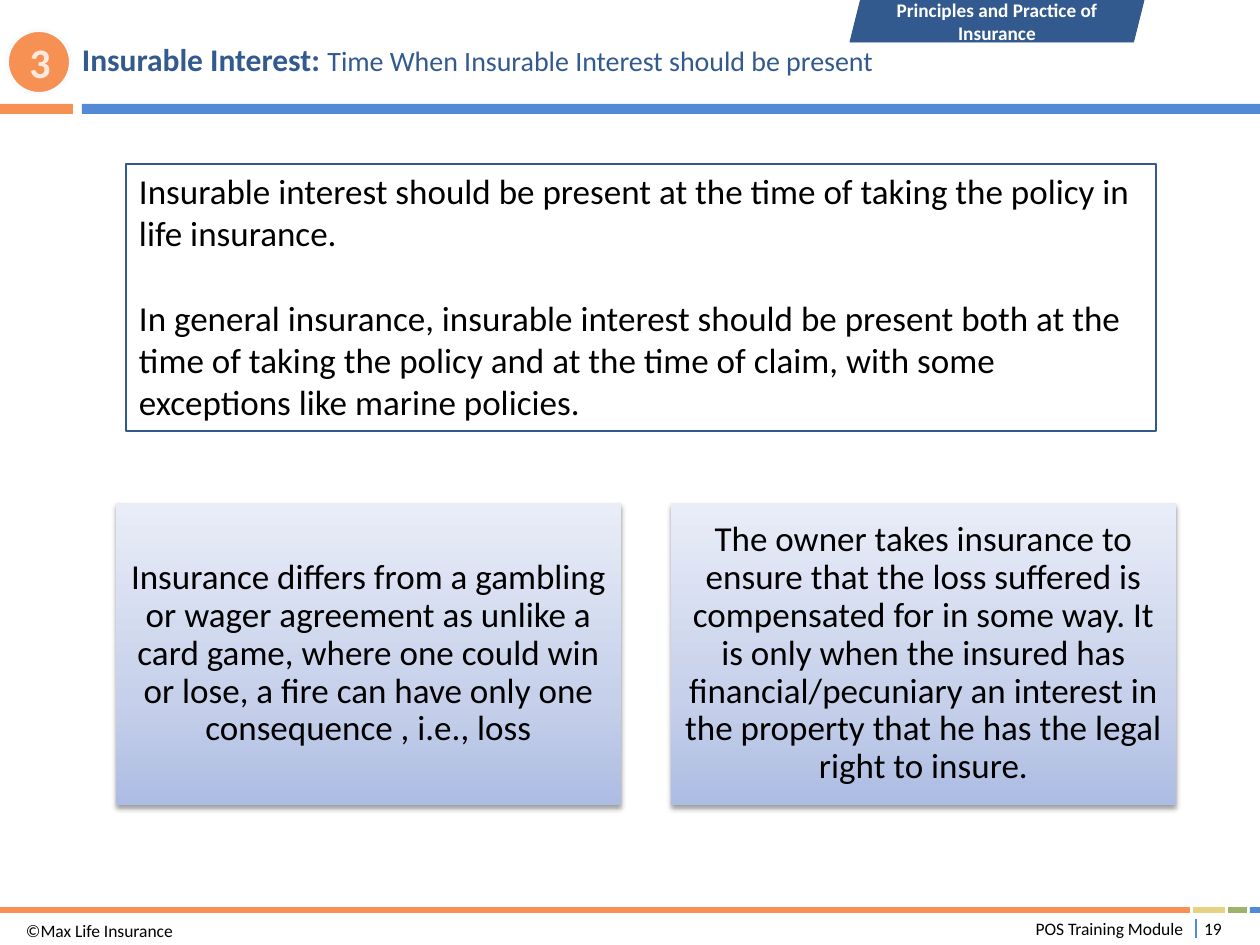
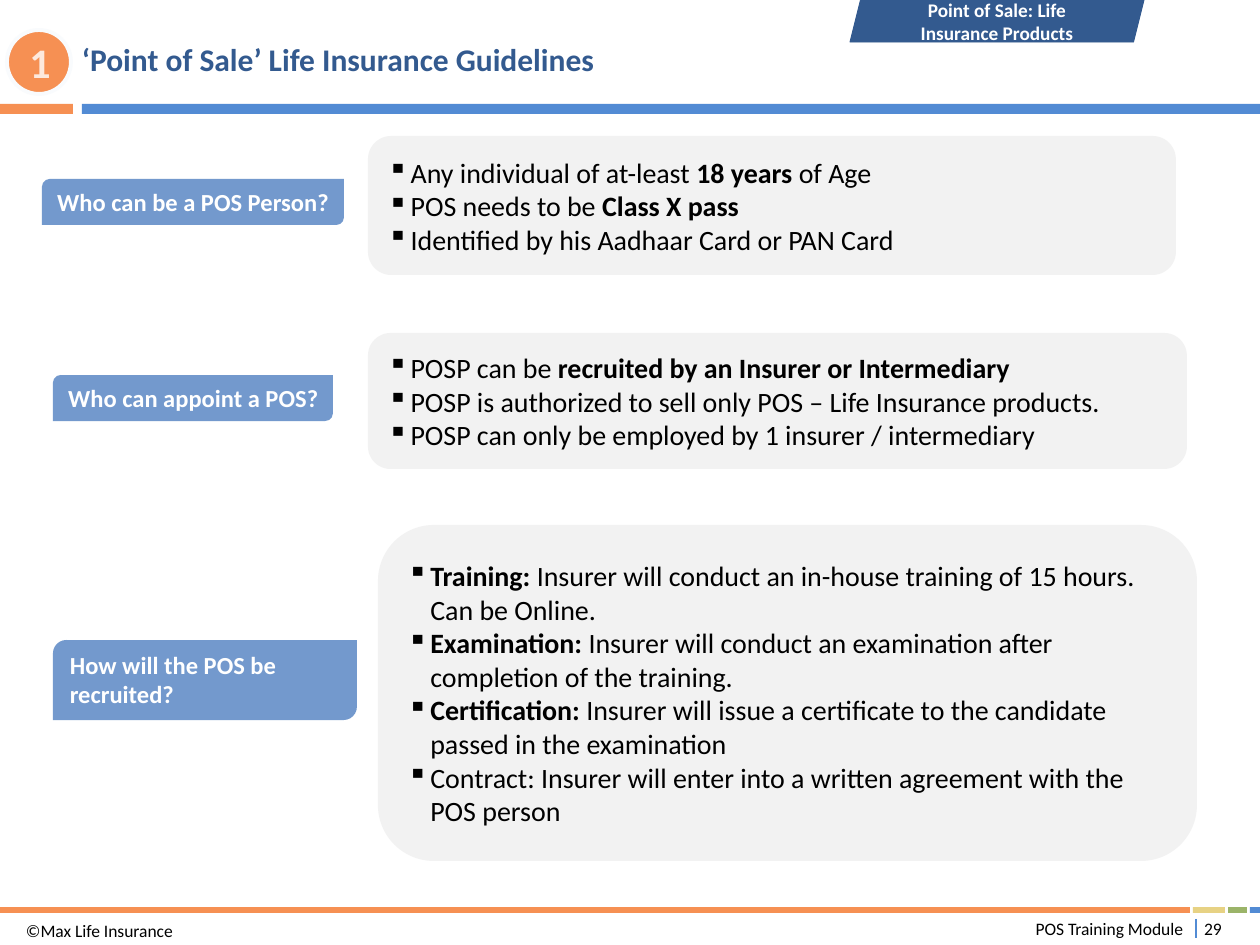
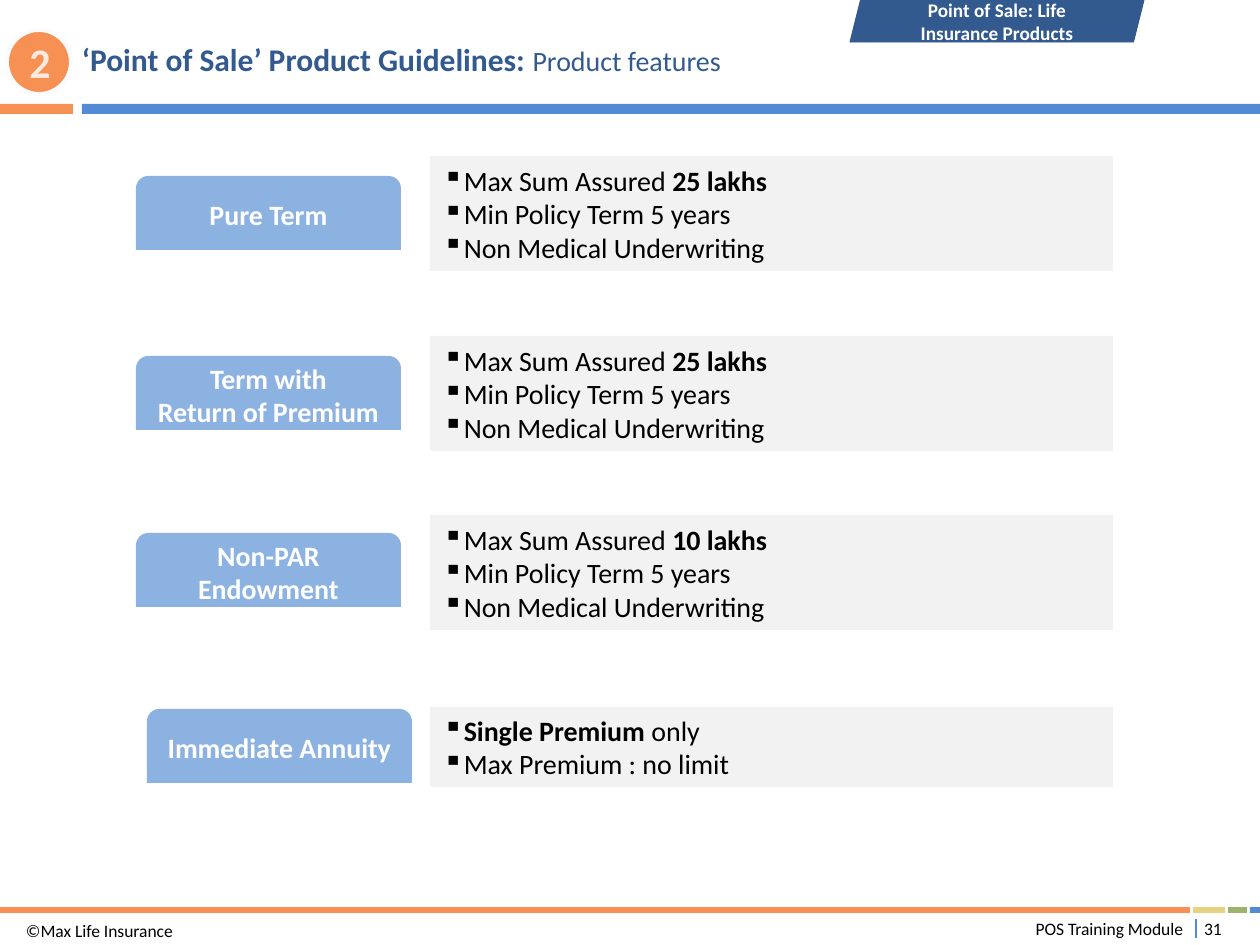
from copy import deepcopy
from dataclasses import dataclass

from lxml import etree
from pptx import Presentation
from pptx import util as u
from pptx.dml.color import RGBColor
from pptx.enum import shapes, text
from pptx.oxml import ns

EMU_PER_PX = 914400 / 126
MSO, ALIGN, ANCHOR = shapes.MSO_SHAPE, text.PP_ALIGN, text.MSO_ANCHOR


@dataclass(frozen=True)
class Theme:
    font: str = "Calibri"
    black: str = "000000"
    white: str = "FFFFFF"
    navy: str = "335A8F"
    blue: str = "528BD4"
    orange: str = "F69053"
    yellow: str = "E7D284"
    green: str = "9BB469"
    badge_edge: str = "F9FBFD"
    badge_text: str = "FDE9DD"
    question: str = "7399CD"
    product: str = "8CB2E2"
    panel: str = "F2F2F2"
    card: tuple = ((0, "ACBCE3"), (0.35, "C6D0EA"), (1, "E9EDF8"))
    footer_size: int = 10
    tab_size: int = 11
    label_size: int = 14
    body_size: int = 16
    title_size: int = 18
    large_size: int = 20
    badge_size: int = 24


T = Theme()


def px(n):
    return u.Emu(round(n * EMU_PER_PX))


def add_block(s, kind, box, paras=(), fill=None, line=None, size=T.body_size, color=T.black,
              align=ALIGN.LEFT, anchor=ANCHOR.MIDDLE, inset=(13, 6), wrap=True,
              indent=0, gap=0, spacing=None):
    """Add a shape, or a text box if kind is None; **marks** in paras enclose bold text."""
    box = [px(n) for n in box]
    sp = s.shapes.add_shape(kind, *box) if kind else s.shapes.add_textbox(*box)
    if kind:
        sp.shadow.inherit = False
        if fill:
            sp.fill.solid()
            sp.fill.fore_color.rgb = RGBColor.from_string(fill)
        else:
            sp.fill.background()
        if line:
            sp.line.color.rgb = RGBColor.from_string(line[0])
            sp.line.width = u.Pt(line[1])
        else:
            sp.line.fill.background()
    tf = sp.text_frame
    h, v = map(px, inset)
    frame = dict(margin_left=h, margin_right=h, margin_top=v, margin_bottom=v,
                 word_wrap=wrap, vertical_anchor=anchor)
    for name, value in frame.items():
        setattr(tf, name, value)
    for i, para in enumerate(paras):
        p = tf.add_paragraph() if i else tf.paragraphs[0]
        p.alignment = align
        if gap and i:
            p.space_before = u.Pt(gap)
        if spacing:
            p.line_spacing = spacing
        if indent:
            pPr = p._p.get_or_add_pPr()
            pPr.set("marL", str(px(indent)))
            pPr.set("indent", str(-px(indent)))
            etree.SubElement(pPr, ns.qn("a:buChar"), char="▪")
        for j, part in enumerate(para.split("**")):
            if part:
                r = p.add_run()
                r.text = part
                style = dict(name=T.font, size=u.Pt(size), bold=j % 2 == 1)
                for name, value in style.items():
                    setattr(r.font, name, value)
                r.font.color.rgb = RGBColor.from_string(color)
    return sp


prs = Presentation()
prs.slide_width, prs.slide_height = px(1260), px(945)

BANDS = [
    ((82, 104, 1178, 10), T.blue),
    ((0, 104, 73, 10), T.orange),
    ((0, 907, 1190, 6), T.orange),
    ((1193, 907, 32, 6), T.yellow),
    ((1228, 907, 19, 6), T.green),
    ((1250, 907, 10, 6), T.blue),
]
PRINCIPLES = "Principles and Practice of Insurance"
POINT_OF_SALE = "Point of Sale: Life Insurance Products"
HEADERS = [
    (19, 3, PRINCIPLES, "Insurable Interest: ", "Time When Insurable Interest should be present"),
    (29, 1, POINT_OF_SALE, "‘Point of Sale’ Life Insurance Guidelines", ""),
    (31, 2, POINT_OF_SALE, "‘Point of Sale’ Product Guidelines: ", "Product features"),
]

# Header and footer of every slide
for page, badge, chapter, topic, subtopic in HEADERS:
    s = prs.slides.add_slide(prs.slide_layouts[6])
    for box, fill in BANDS:
        add_block(s, MSO.RECTANGLE, box, fill=fill)
    divider = s.shapes.add_connector(shapes.MSO_CONNECTOR.STRAIGHT,
                                     px(1196), px(919), px(1196), px(938))
    divider.line.color.rgb = RGBColor.from_string(T.blue)
    divider.line.width = u.Pt(1.5)
    etree.SubElement(divider._element.spPr, ns.qn("a:effectLst"))

    title = add_block(s, None, (82, 14, 1084, 89), [f"**{topic}**{subtopic}"],
                      size=T.title_size, color=T.navy, inset=(0, 0))
    for r in title.text_frame.paragraphs[0].runs[1:]:
        r.font.size = u.Pt(T.body_size)
    add_block(s, MSO.OVAL, (7, 30, 64, 64), [f"**{badge}**"], T.orange, (T.badge_edge, 2.25),
              T.badge_size, T.badge_text, ALIGN.CENTER)
    add_block(s, MSO.PARALLELOGRAM, (850, 0, 294, 42), [f"**{chapter}**"], T.navy,
              (T.navy, 0.5), T.tab_size, T.white, ALIGN.CENTER, inset=(8, 8))
    add_block(s, None, (1194, 916, 38, 25), [str(page)], size=T.footer_size,
              align=ALIGN.CENTER, inset=(6, 6))
    add_block(s, None, (921, 916, 268, 25), ["POS Training Module"], size=T.footer_size,
              align=ALIGN.RIGHT, inset=(6, 6))
    add_block(s, None, (13, 914, 394, 29), ["©Max Life Insurance"], size=T.footer_size,
              anchor=ANCHOR.TOP)

interest, guidelines, products = prs.slides

# Insurable interest
add_block(interest, MSO.RECTANGLE, (126, 164, 1030, 267), [
    "Insurable interest should be present at the time of taking the policy in life insurance.",
    "In general insurance, insurable interest should be present both at the time of taking "
    "the policy and at the time of claim, with some exceptions like marine policies.",
], line=(T.navy, 1.5), size=T.large_size, anchor=ANCHOR.TOP, gap=24)

CARDS = [
    "Insurance differs from a gambling or wager agreement as unlike a card game, where one "
    "could win or lose, a fire can have only one consequence , i.e., loss",
    "The owner takes insurance to ensure that the loss suffered is compensated for in some "
    "way. It is only when the insured has financial/pecuniary an interest in the property "
    "that he has the legal right to insure.",
]
for i, words in enumerate(CARDS):
    card = add_block(interest, MSO.RECTANGLE, (116 + 555 * i, 503, 505, 302), [words],
                     size=T.large_size, align=ALIGN.CENTER, inset=(10, 10), spacing=0.9)
    card.fill.gradient()
    card.fill.gradient_angle = 90
    spPr = card._element.spPr
    stops = spPr.find(".//" + ns.qn("a:gsLst"))
    stops.append(deepcopy(stops[0]))
    for stop, (position, color) in zip(card.fill.gradient_stops, T.card):
        stop.position = position
        stop.color.rgb = RGBColor.from_string(color)
    shadow = etree.SubElement(spPr.find(ns.qn("a:effectLst")), ns.qn("a:outerShdw"),
                              blurRad="40000", dist="20000", dir="5400000", rotWithShape="0")
    shade = etree.SubElement(shadow, ns.qn("a:srgbClr"), val=T.black)
    etree.SubElement(shade, ns.qn("a:alpha"), val="38000")

# Guidelines: questions and answers
QUESTIONS = [
    ("Who can be a POS Person?", (42, 179, 302, 46), False, (368, 136, 808, 139), [
        "Any individual of at-least **18 years** of Age",
        "POS needs to be **Class X pass**",
        "Identified by his Aadhaar Card or PAN Card",
    ]),
    ("Who can appoint a POS?", (53, 375, 280, 46), False, (368, 333, 819, 136), [
        "POSP can be **recruited by an Insurer or Intermediary**",
        "POSP is authorized to sell only POS – Life Insurance products.",
        "POSP can only be employed by 1 insurer / intermediary",
    ]),
    ("How will the POS be recruited?", (53, 640, 304, 80), True, (378, 525, 819, 336), [
        "**Training:** Insurer will conduct an in-house training of 15 hours. Can be Online.",
        "**Examination:** Insurer will conduct an examination after completion of the training.",
        "**Certification:** Insurer will issue a certificate to the candidate passed in the "
        "examination",
        "Contract: Insurer will enter into a written agreement with the POS person",
    ]),
]
for question, label_box, wrap, answer_box, answers in QUESTIONS:
    add_block(guidelines, MSO.ROUNDED_RECTANGLE, answer_box, answers, T.panel, indent=23)
    add_block(guidelines, MSO.ROUND_2_DIAG_RECTANGLE, label_box, [f"**{question}**"], T.question,
              size=T.label_size, color=T.white, anchor=ANCHOR.TOP, wrap=wrap)

# Products and their features
TERMS = ["Min Policy Term 5 years", "Non Medical Underwriting"]
PRODUCTS = [
    (["Pure Term"], (136, 176), (156, 115), 9, ["Max Sum Assured **25 lakhs**", *TERMS]),
    (["Term with", "Return of Premium"], (136, 356), (336, 115), 9,
     ["Max Sum Assured **25 lakhs**", *TERMS]),
    (["Non-PAR Endowment"], (136, 533), (515, 115), 9, ["Max Sum Assured **10 lakhs**", *TERMS]),
    (["Immediate Annuity"], (147, 709), (707, 80), 15,
     ["**Single Premium** only", "Max Premium : no limit"]),
]
for names, corner, (top, height), indent, features in PRODUCTS:
    add_block(products, MSO.ROUND_2_SAME_RECTANGLE, (*corner, 265, 74),
              [f"**{name}**" for name in names], T.product, color=T.white, align=ALIGN.CENTER)
    add_block(products, MSO.RECTANGLE, (430, top, 683, height), features, T.panel, indent=indent)

prs.save("out.pptx")
